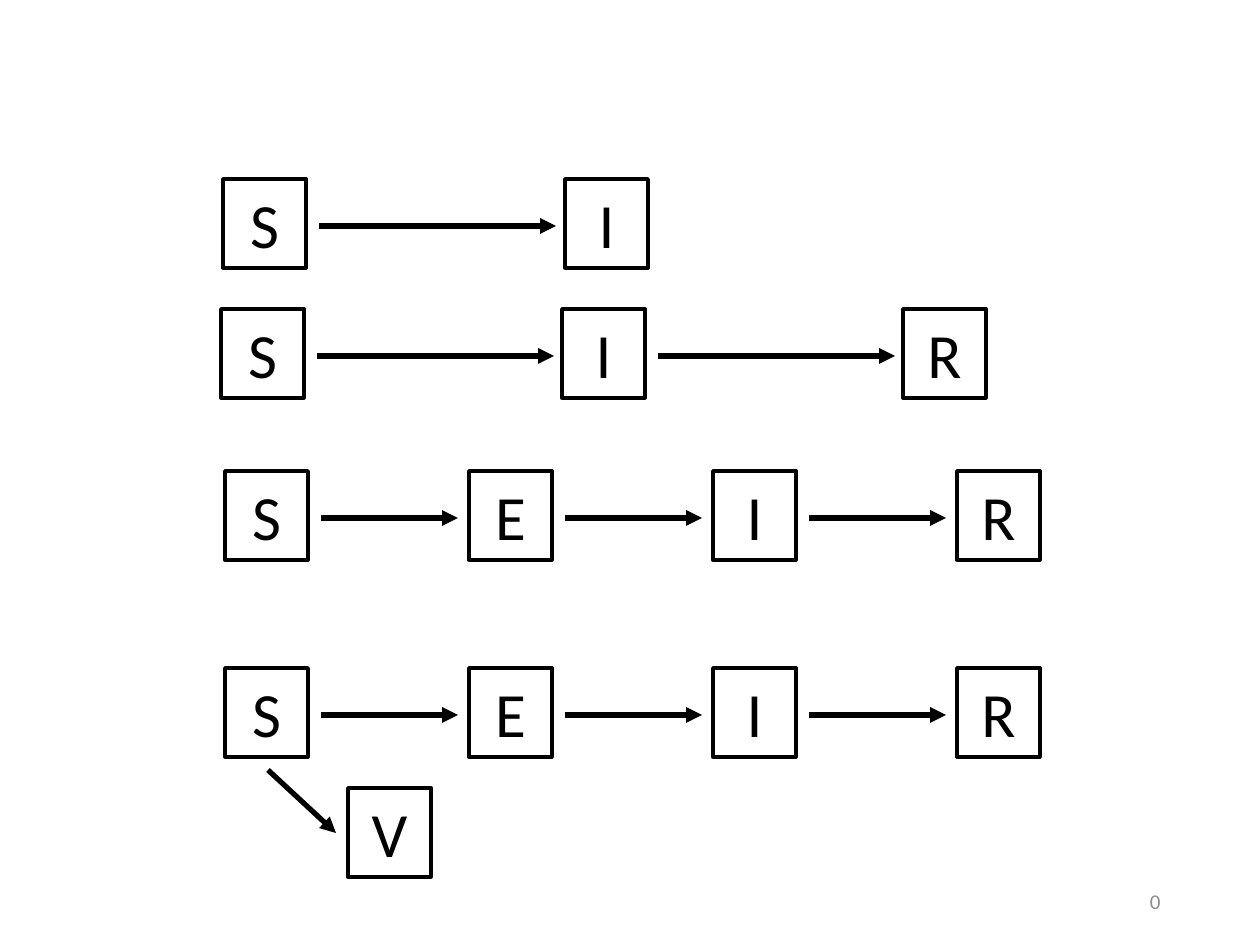
from dataclasses import dataclass

from lxml.etree import SubElement
from pptx import Presentation
from pptx.dml.color import RGBColor
from pptx.enum.shapes import MSO_CONNECTOR as Connector, MSO_SHAPE as Shape
from pptx.enum.text import MSO_ANCHOR as Anchor, MSO_AUTO_SIZE as AutoSize, PP_ALIGN as Align
from pptx.oxml.ns import qn
from pptx.util import Emu, Pt

PX_PER_INCH = 126
COLORS = {"ink": "000000", "paper": "FFFFFF", "number": "8C8C8C"}
FONT = "Calibri"
BOX_WIDTH, BOX_HEIGHT = 83, 89
ARROW_OFFSET_X, ARROW_OFFSET_Y = 96, 47


@dataclass
class Model:
    states: str
    left: int
    top: int
    pitch: int
    arrow_length: int


MODELS = [
    Model("SI", 223, 179, 342, 237),
    Model("SIR", 221, 309, 341, 237),
    Model("SEIR", 225, 471, 244, 137),
    Model("SEIR", 225, 668, 244, 137),
]


def px(length: int) -> Emu:
    return Emu(round(length * 914400 / PX_PER_INCH))


def color(name: str) -> RGBColor:
    return RGBColor.from_string(COLORS[name])


def write(shape, text: str, size: int, color_name: str, align) -> None:
    frame = shape.text_frame
    frame.word_wrap = True
    frame.vertical_anchor = Anchor.MIDDLE
    paragraph = frame.paragraphs[0]
    paragraph.text = text
    paragraph.alignment = align
    paragraph.font.name = FONT
    paragraph.font.size = Pt(size)
    paragraph.font.color.rgb = color(color_name)


def draw_state(slide, letter: str, left: int, top: int) -> None:
    box = slide.shapes.add_shape(
        Shape.RECTANGLE, px(left), px(top), px(BOX_WIDTH), px(BOX_HEIGHT))
    box.shadow.inherit = False
    box.fill.solid()
    box.fill.fore_color.rgb = color("paper")
    box.line.color.rgb = color("ink")
    box.line.width = Pt(2)
    write(box, letter, 36, "ink", Align.CENTER)
    box.text_frame.auto_size = AutoSize.SHAPE_TO_FIT_TEXT


def draw_arrow(slide, x1: int, y1: int, x2: int, y2: int) -> None:
    arrow = slide.shapes.add_connector(
        Connector.STRAIGHT, px(x1), px(y1), px(x2), px(y2))
    arrow.line.color.rgb = color("ink")
    arrow.line.width = Pt(3)
    SubElement(arrow.line._get_or_add_ln(), qn("a:tailEnd"), type="triangle")
    SubElement(arrow._element.spPr, qn("a:effectLst"))


def draw_model(slide, model: Model) -> None:
    for index, letter in enumerate(model.states):
        left = model.left + index * model.pitch
        draw_state(slide, letter, left, model.top)
        if index < len(model.states) - 1:
            start, y = left + ARROW_OFFSET_X, model.top + ARROW_OFFSET_Y
            draw_arrow(slide, start, y, start + model.arrow_length, y)


def main() -> None:
    presentation = Presentation()
    presentation.slide_width = px(1260)
    presentation.slide_height = px(945)
    slide = presentation.slides.add_slide(presentation.slide_layouts[6])

    # Compartment models, one per row
    for model in MODELS:
        draw_model(slide, model)

    # Vaccination branch of the last model
    draw_state(slide, "V", 348, 788)
    draw_arrow(slide, 268, 770, 336, 833)

    # Slide number
    number = slide.shapes.add_textbox(px(890), px(876), px(283), px(50))
    write(number, "0", 12, "number", Align.RIGHT)

    presentation.save("out.pptx")


if __name__ == "__main__":
    main()
